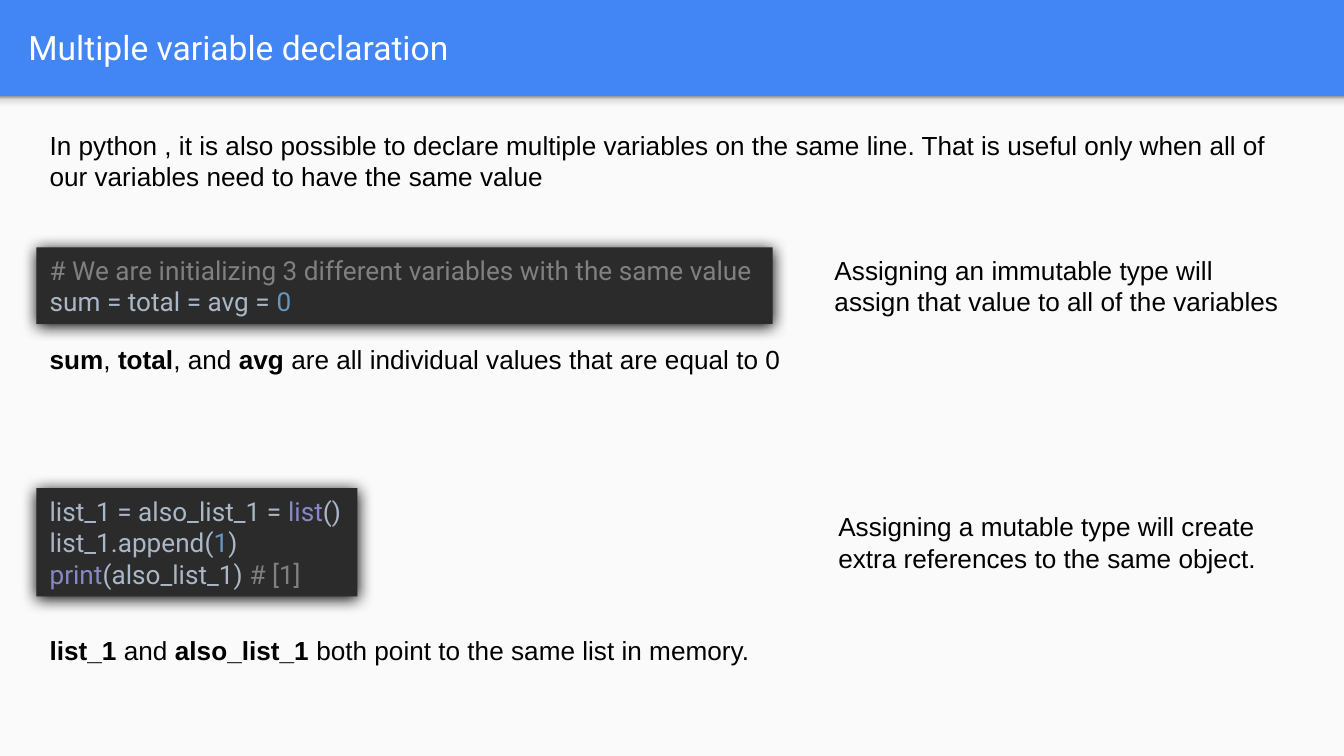
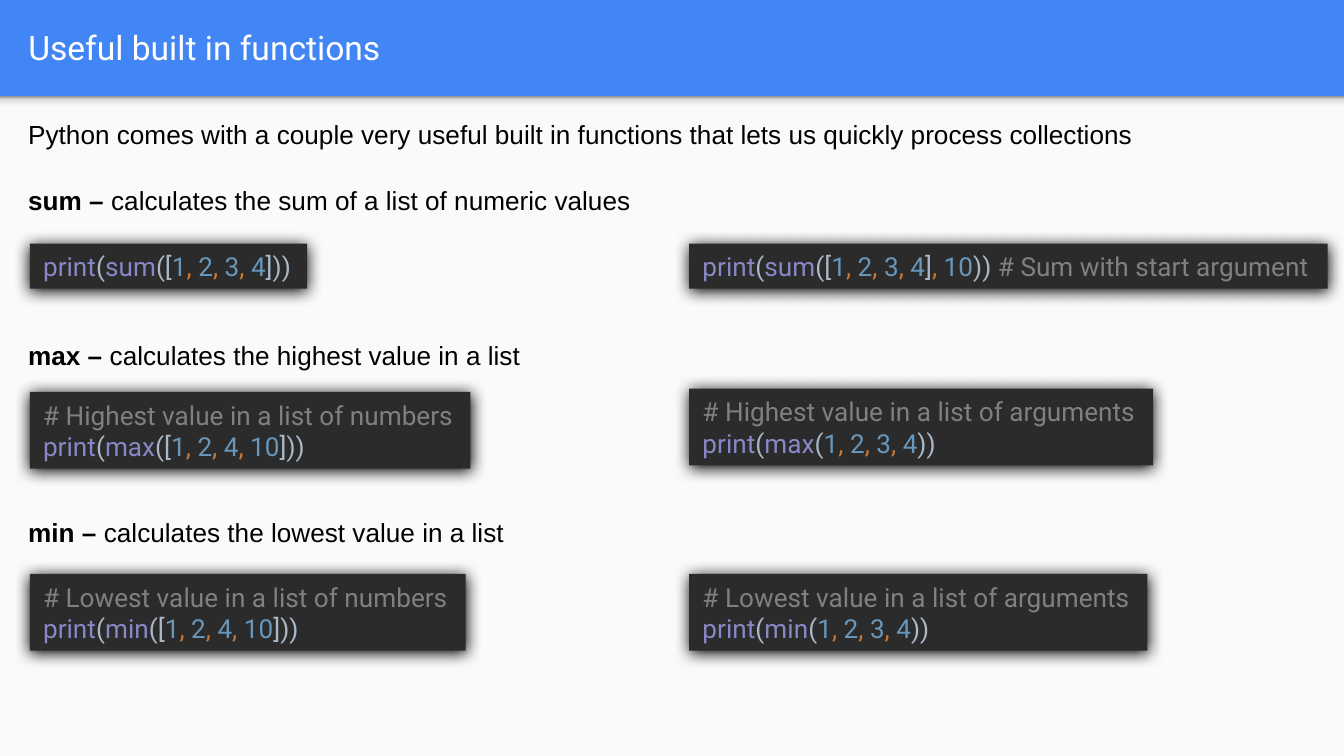
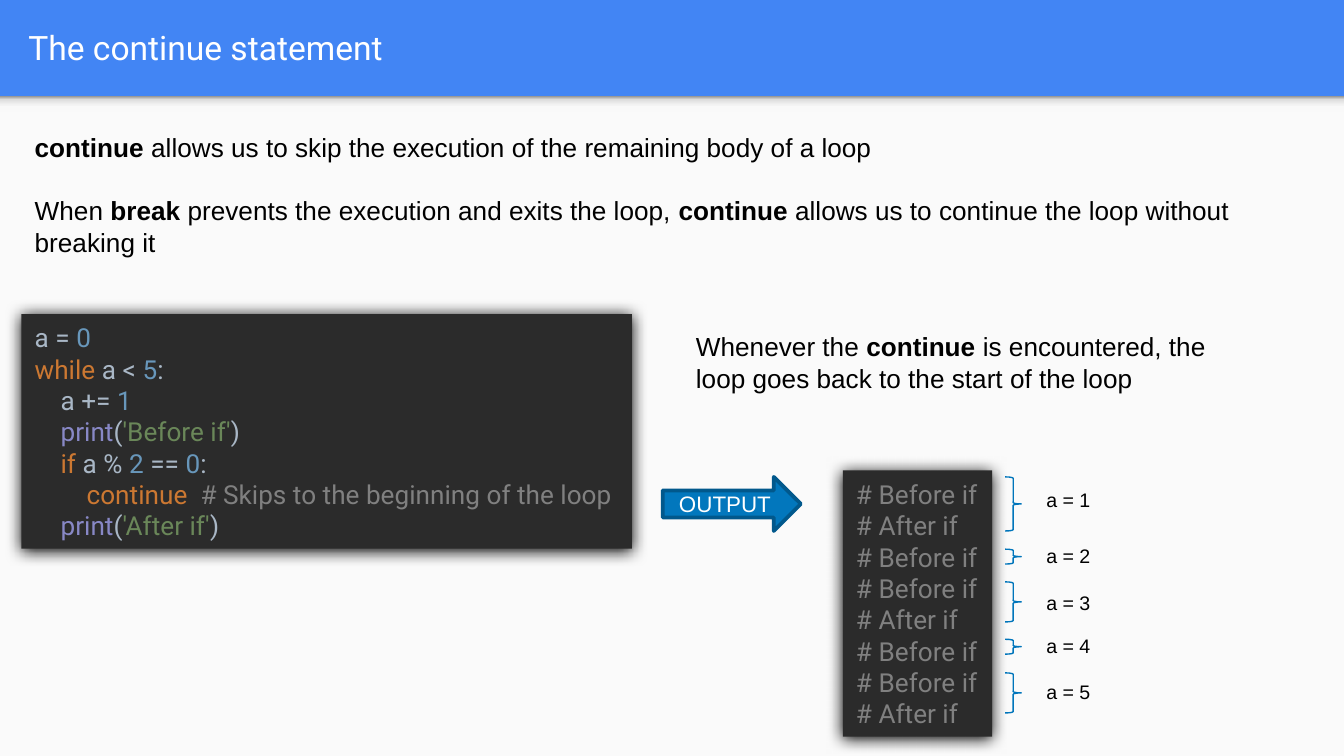
from dataclasses import dataclass
from itertools import groupby
from typing import Iterator, NamedTuple

from lxml.etree import SubElement
from pptx import Presentation
from pptx.dml.color import RGBColor
from pptx.enum.shapes import MSO_SHAPE as Shape
from pptx.enum.text import MSO_ANCHOR as Anchor
from pptx.enum.text import MSO_AUTO_SIZE as AutoSize
from pptx.enum.text import PP_ALIGN as Align
from pptx.oxml.ns import qn
from pptx.util import Pt

COLORS = {
    "band": "4285F4", "panel": "FAFAFA", "title": "FFFFFF", "text": "000000",
    "editor": "2B2B2B", "plain": "A9B7C6", "builtin": "8888C6", "number": "6897BB",
    "keyword": "CC7832", "string": "6A8759", "comment": "808080",
    "arrow": "0277BD", "arrow_edge": "01588C", "brace": "0075BB",
}
BAND_SHADE = [(0, "F9F9F9"), (36, "F9F9F9"), (80, "DEDEDE"), (100, "999999")]
PROSE_FONT, CODE_FONT = "Arial", "Roboto"
BODY_SIZE = 14
LINE_RATIO = 1.21
WIDTH, HEIGHT, BAND_HEIGHT = 720, 405, 51.7
KEYWORDS = {"while", "if", "continue"}
BUILTINS = {"print", "sum", "max", "min", "list"}


class Box(NamedTuple):
    left: float
    top: float
    width: float
    height: float

    def points(self) -> list:
        return [Pt(length) for length in self]


@dataclass
class Prose:
    """Text in which **stars** mark bold and a newline starts a paragraph."""
    text: str
    left: float
    top: float
    width: float
    lines: int = 1
    size: float = BODY_SIZE


@dataclass
class Code:
    text: str
    left: float
    top: float
    width: float


class Iteration(NamedTuple):
    brace_top: float
    brace_height: float
    label_top: float


def rgb(name: str) -> RGBColor:
    return RGBColor.from_string(COLORS[name])


def text_height(lines: int, size: float = BODY_SIZE) -> float:
    return round(lines * size * LINE_RATIO + 7.2, 2)


def set_font(font, name: str, size: float, color: str) -> None:
    font.name, font.size = name, Pt(size)
    font.color.rgb = rgb(color)


def add_flat(slide, kind, box: Box, fill: str = "", line: str = "", weight: float = 1):
    """Add a preset shape without the theme's shadow, fill and line."""
    shape = slide.shapes.add_shape(kind, *box.points())
    shape.shadow.inherit = False
    if fill:
        shape.fill.solid()
        shape.fill.fore_color.rgb = rgb(fill)
    else:
        shape.fill.background()
    if line:
        shape.line.color.rgb = rgb(line)
        shape.line.width = Pt(weight)
    else:
        shape.line.fill.background()
    return shape


def add_glow(shape) -> None:
    """Give the shape a soft black shadow."""
    effects = shape._element.spPr.find(qn("a:effectLst"))
    shadow = SubElement(effects, qn("a:outerShdw"), blurRad=str(Pt(8.5)),
                        dist=str(Pt(1)), dir="5400000", algn="t", rotWithShape="0")
    SubElement(shadow, qn("a:srgbClr"), val="000000")


def shade_upward(shape) -> None:
    """Replace the shape's fill with the shade under the title band."""
    properties = shape._element.spPr
    old_fill = properties.find(qn("a:noFill"))
    gradient = SubElement(properties, qn("a:gradFill"))
    stops = SubElement(gradient, qn("a:gsLst"))
    for percent, color in BAND_SHADE:
        stop = SubElement(stops, qn("a:gs"), pos=str(percent * 1000))
        SubElement(stop, qn("a:srgbClr"), val=color)
    SubElement(gradient, qn("a:lin"), ang="16200000", scaled="0")
    properties.replace(old_fill, gradient)


def tokens(line: str) -> Iterator[tuple[str, str]]:
    """Split a line of Python into (text, colour name) pairs."""
    source, mark, remark = line.partition("#")
    for index, part in enumerate(source.split("'")):
        if index % 2:
            yield f"'{part}'", "string"
            continue
        groups = groupby(part, lambda c: "word" if c.isalnum() or c == "_" else c == ",")
        pieces = ["".join(chars) for _, chars in groups]
        for piece, following in zip(pieces, pieces[1:] + ["("]):
            if piece.isdigit():
                yield piece, "number"
            elif piece in KEYWORDS or piece == ",":
                yield piece, "keyword"
            elif piece in BUILTINS and following.startswith("("):
                yield piece, "builtin"
            else:
                yield piece, "plain"
    if mark:
        yield mark + remark, "comment"


def add_code(slide, code: Code) -> None:
    lines = code.text.split("\n")
    box = Box(code.left, code.top, code.width, text_height(len(lines)))
    editor = add_flat(slide, Shape.RECTANGLE, box, "editor")
    add_glow(editor)
    frame = editor.text_frame
    frame.word_wrap = False
    frame.auto_size = AutoSize.SHAPE_TO_FIT_TEXT
    paragraph = frame.paragraphs[0]
    paragraph.alignment = Align.LEFT
    set_font(paragraph.font, CODE_FONT, BODY_SIZE, "plain")
    for number, line in enumerate(lines):
        if number:
            paragraph.add_line_break()
        for text, color in tokens(line):
            run = paragraph.add_run()
            run.text = text
            run.font.color.rgb = rgb(color)


def add_prose(slide, prose: Prose) -> None:
    box = Box(prose.left, prose.top, prose.width, text_height(prose.lines, prose.size))
    frame = slide.shapes.add_textbox(*box.points()).text_frame
    frame.word_wrap = True
    frame.auto_size = AutoSize.SHAPE_TO_FIT_TEXT
    for number, text in enumerate(prose.text.split("\n")):
        paragraph = frame.add_paragraph() if number else frame.paragraphs[0]
        set_font(paragraph.font, PROSE_FONT, prose.size, "text")
        if number:
            paragraph.space_before = Pt(prose.size * LINE_RATIO)
        for index, part in enumerate(text.split("**")):
            if part:
                run = paragraph.add_run()
                run.text = part
                run.font.bold = index % 2 == 1


def add_content(slide, *items: Prose | Code) -> None:
    for item in items:
        if isinstance(item, Code):
            add_code(slide, item)
        else:
            add_prose(slide, item)


def style_layout(layout, slide) -> None:
    """Set the layout's band, panel and title place, drawing by way of a slide."""
    layout.background.fill.solid()
    layout.background.fill.fore_color.rgb = rgb("band")
    panel = add_flat(slide, Shape.RECTANGLE,
                     Box(0, BAND_HEIGHT, WIDTH, HEIGHT - BAND_HEIGHT), "panel")
    shade = add_flat(slide, Shape.RECTANGLE, Box(0, BAND_HEIGHT, WIDTH, 8.5))
    shade_upward(shade)
    for part in (panel, shade):
        layout.shapes._spTree.append(part._element)
    title = layout.placeholders[0]
    title.left, title.top, title.width, title.height = Box(8, 1.5, 695, 47.5).points()


def set_title(slide, text: str) -> None:
    frame = slide.shapes.title.text_frame
    frame.text = text
    frame.auto_size = AutoSize.NONE
    frame.vertical_anchor = Anchor.MIDDLE
    frame.margin_left = frame.margin_right = Pt(7.2)
    frame.margin_top = frame.margin_bottom = Pt(7.2)
    paragraph = frame.paragraphs[0]
    paragraph.alignment = Align.LEFT
    set_font(paragraph.font, CODE_FONT, 18, "title")


def fill_declaration(slide) -> None:
    set_title(slide, "Multiple variable declaration")
    left = 19.5
    add_content(
        slide,
        Prose("In python , it is also possible to declare multiple variables on the same line. "
              "That is useful only when all of our variables need to have the same value",
              left, 65.5, 668, 2),
        Code("# We are initializing 3 different variables with the same value\n"
             "sum = total = avg = 0", left, 132.5, 394.5),
        Prose("Assigning an immutable type will assign that value to all of the variables",
              440, 132.5, 260.5, 2),
        Code("list_1 = also_list_1 = list()\nlist_1.append(1)\nprint(also_list_1) # [1]",
             left, 261.5, 172),
        Prose("Assigning a mutable type will create extra references to the same object.",
              442, 270, 260.5, 2),
        Prose("**list_1 **and **also_list_1 **both point to the same list in memory.",
              left, 336.5, 661),
        Prose("**sum**, **total**, and **avg **are all individual values that are equal to 0",
              left, 180.5, 661),
    )


def fill_builtins(slide) -> None:
    set_title(slide, "Useful built in functions")
    label_left, list_left, argument_left = 8, 16, 369.25
    add_content(
        slide,
        Prose("Python comes with a couple very useful built in functions "
              "that lets us quickly process collections", label_left, 60, 680.5),
        Prose("**sum – **calculates the sum of a list of numeric values", label_left, 95, 418.5),
        Code("print(sum([1, 2, 3, 4]))", list_left, 130.5, 148.5),
        Code("print(sum([1, 2, 3, 4], 10)) # Sum with start argument",
             argument_left, 130.5, 342),
    )
    extremes = [
        ("max", "highest", 178.5, (210, 236), (208.25, 248.5)),
        ("min", "lowest", 273, (307.5, 233.5), (307.5, 245.5)),
    ]
    for name, rank, label_top, list_place, argument_place in extremes:
        remark = f"# {rank.capitalize()} value in a list of"
        add_content(
            slide,
            Prose(f"**{name} – **calculates the {rank} value in a list",
                  label_left, label_top, 418.5),
            Code(f"{remark} numbers\nprint({name}([1, 2, 4, 10]))", list_left, *list_place),
            Code(f"{remark} arguments\nprint({name}(1, 2, 3, 4))",
                 argument_left, *argument_place),
        )


def fill_continue(slide) -> None:
    set_title(slide, "The continue statement")
    left = 11.5
    before, after = "# Before if", "# After if"
    output = [line for a in range(1, 6) for line in ([before, after] if a % 2 else [before])]
    add_content(
        slide,
        Prose("**continue **allows us to skip the execution of the remaining body of a loop\n"
              "When **break **prevents the execution and exits the loop, **continue** allows us "
              "to continue the loop without breaking it", left, 67, 677.5, 4),
        Code("a = 0\n"
             "while a < 5:\n"
             "    a += 1\n"
             "    print('Before if')\n"
             "    if a % 2 == 0:\n"
             "        continue  # Skips to the beginning of the loop\n"
             "    print('After if')", left, 168.25, 327),
        Code("\n".join(output), 451.5, 252, 80),
        Prose("Whenever the **continue** is encountered, the loop goes back "
              "to the start of the loop", 365.75, 173.5, 307.5, 2),
    )
    arrow = add_flat(slide, Shape.RIGHT_ARROW, Box(355, 255.5, 74, 29),
                     "arrow", "arrow_edge", 2)
    caption = arrow.text_frame.paragraphs[0]
    caption.text = "OUTPUT"
    caption.alignment = Align.CENTER
    set_font(caption.font, PROSE_FONT, 12, "title")

    iterations = [
        Iteration(255.5, 29, 258), Iteration(294.25, 8, 288), Iteration(311.75, 21.5, 313),
        Iteration(342.5, 8, 336.25), Iteration(360.5, 21.5, 360.5),
    ]
    for a, step in enumerate(iterations, start=1):
        add_flat(slide, Shape.RIGHT_BRACE, Box(538.5, step.brace_top, 8.6, step.brace_height),
                 line="brace", weight=0.75)
        add_prose(slide, Prose(f"a = {a}", 553.5, step.label_top, 80.5, size=10.5))


def main() -> None:
    deck = Presentation()
    deck.slide_width, deck.slide_height = Pt(WIDTH), Pt(HEIGHT)
    layout = deck.slide_layouts.get_by_name("Title Only")
    slides = [deck.slides.add_slide(layout) for _ in range(3)]
    style_layout(layout, slides[0])
    for fill, slide in zip((fill_declaration, fill_builtins, fill_continue), slides):
        fill(slide)
    deck.save("out.pptx")


if __name__ == "__main__":
    main()
